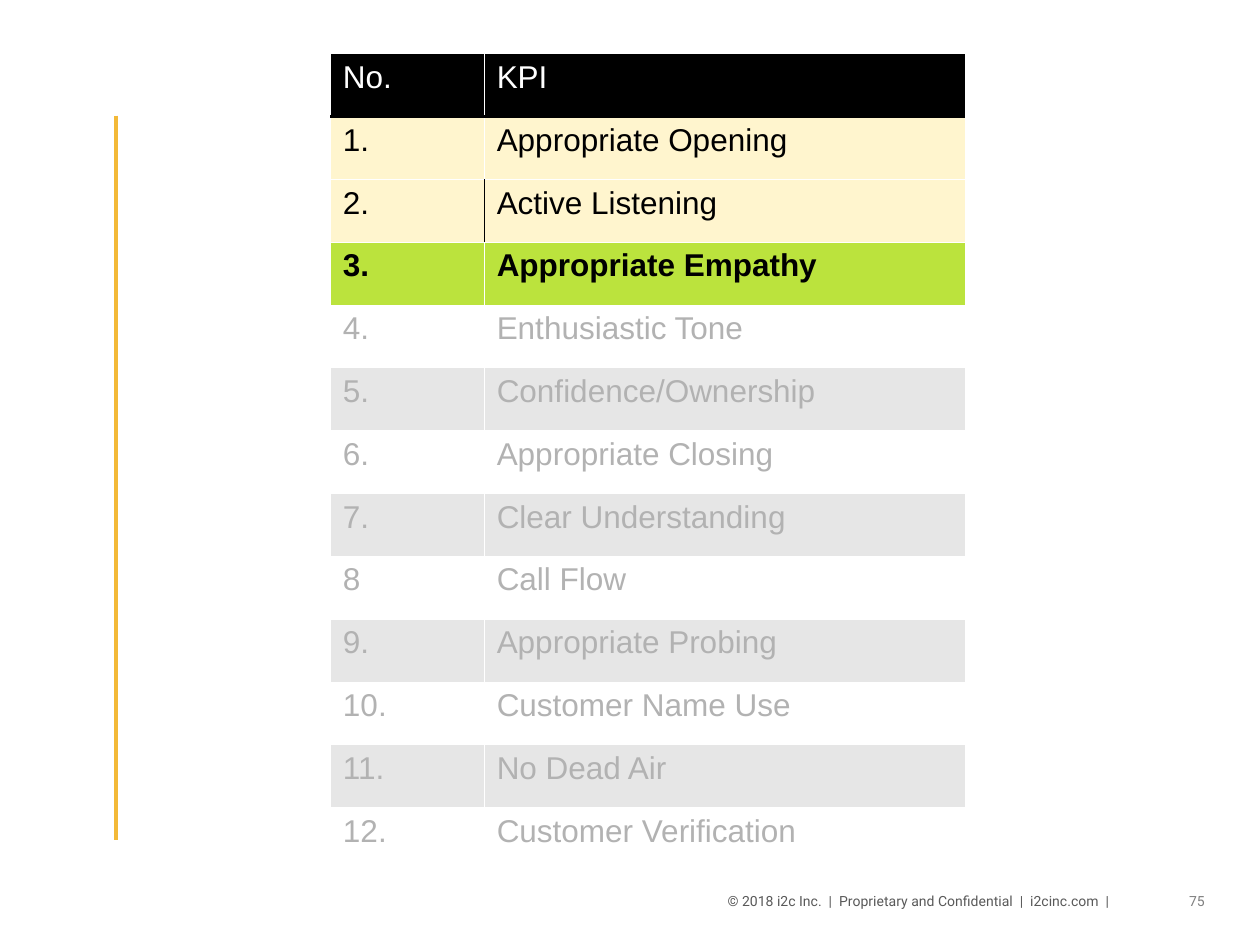
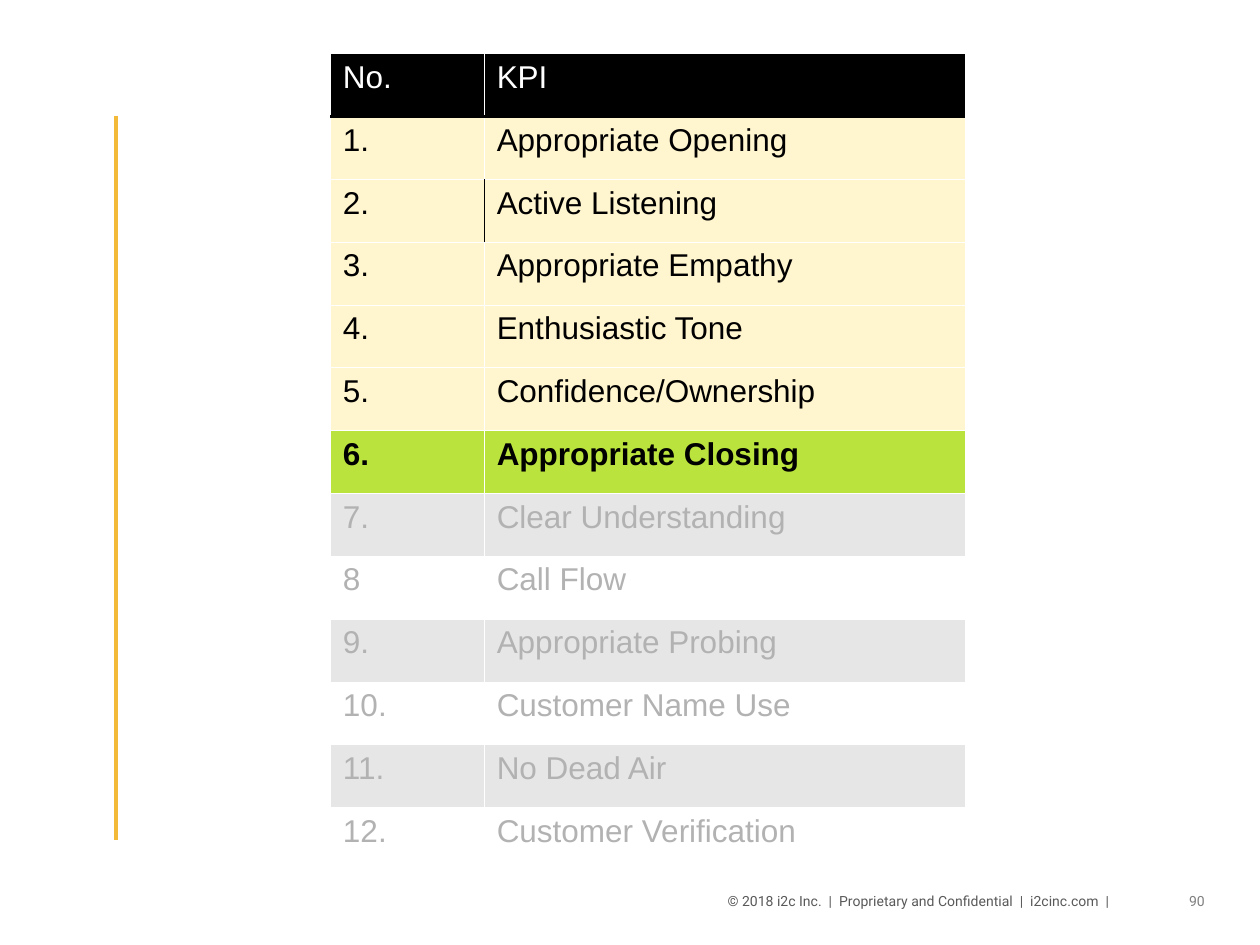
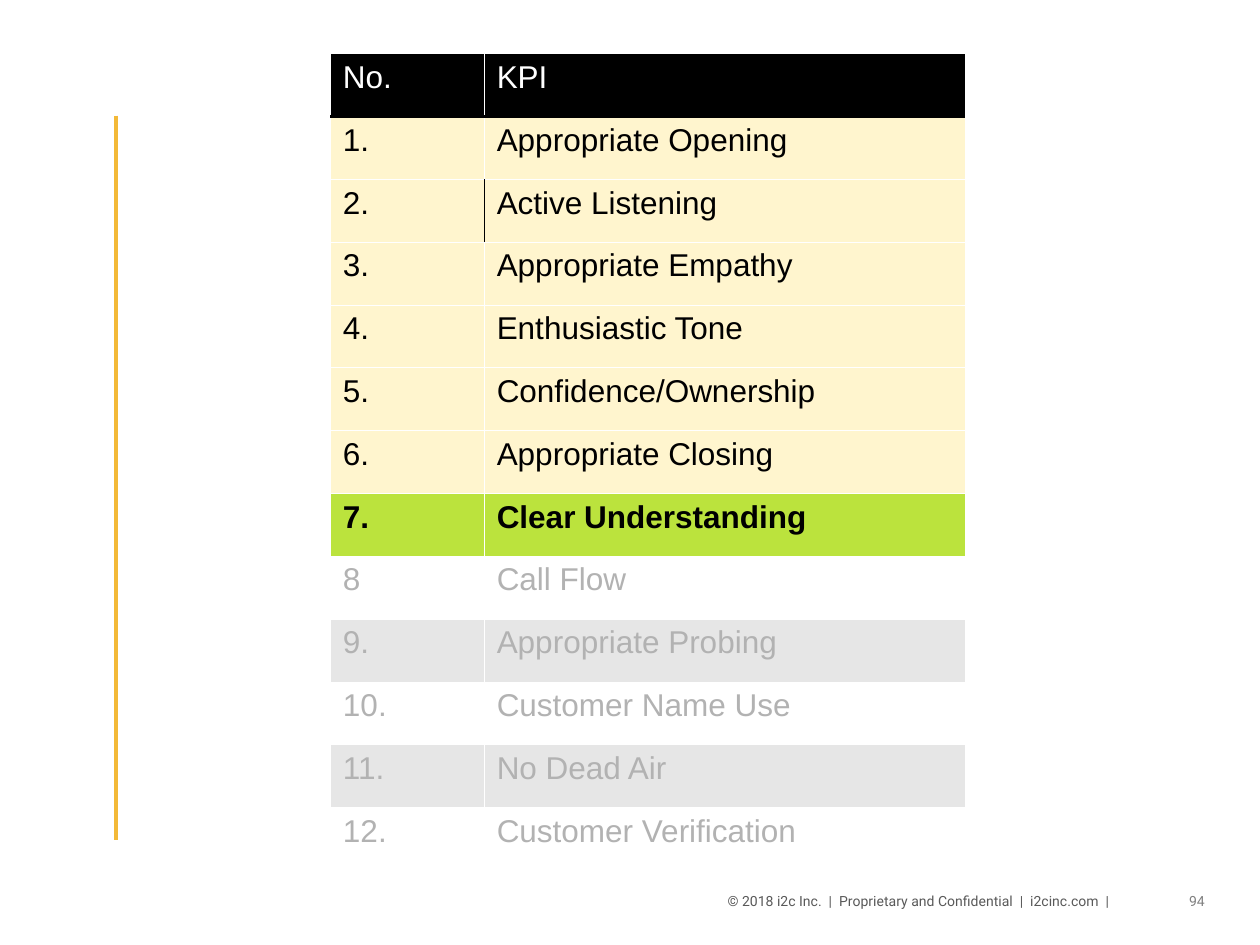
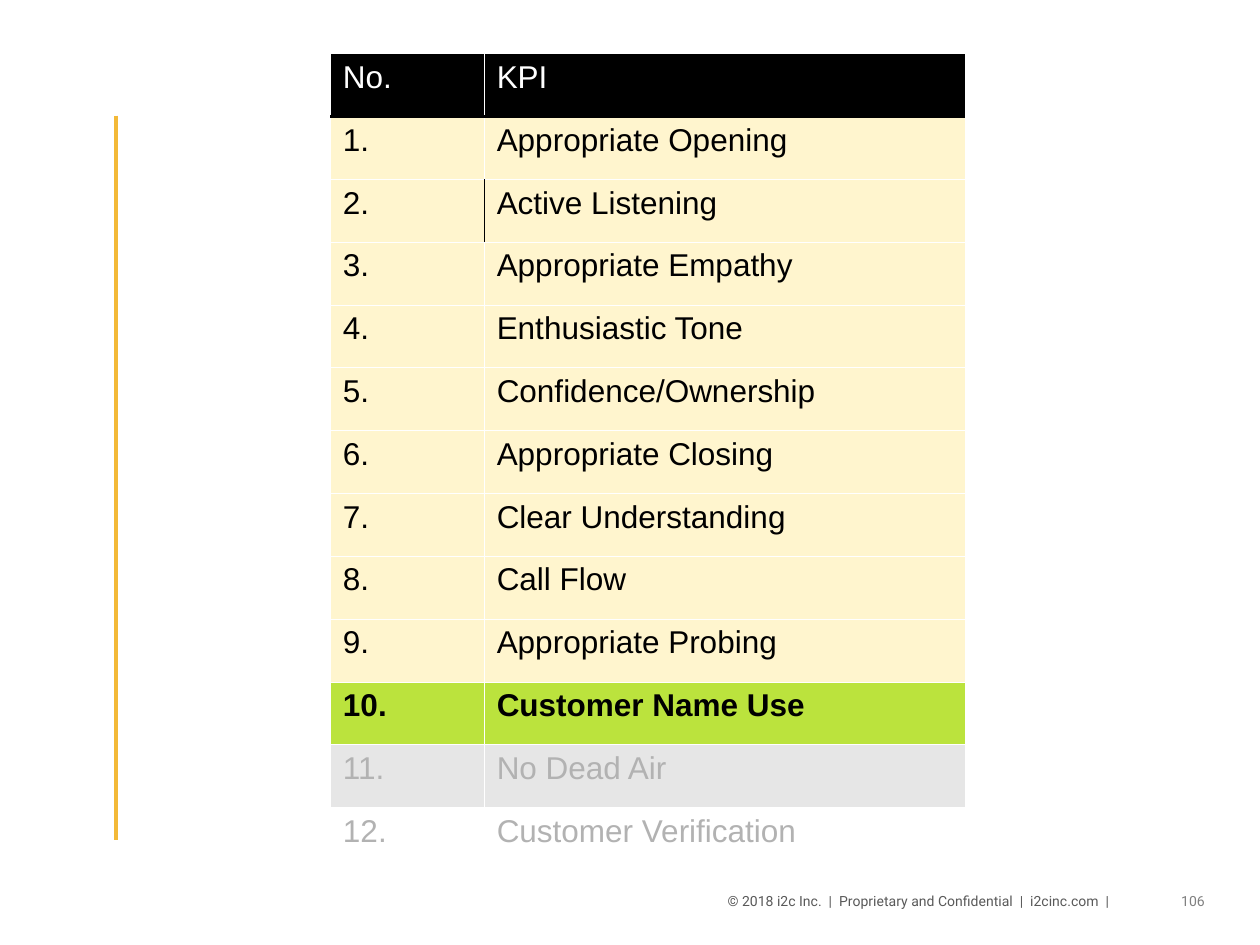
from lxml.etree import SubElement
from pptx import Presentation
from pptx.dml.color import RGBColor
from pptx.enum.shapes import MSO_CONNECTOR
from pptx.enum.text import PP_ALIGN
from pptx.oxml.ns import qn
from pptx.util import Cm, Pt

COLORS = {
    "header": "000000",
    "header_text": "FFFFFF",
    "done": "FFF5CE",
    "current": "BBE33D",
    "pending_odd": "E6E6E6",
    "pending_even": "FFFFFF",
    "text": "000000",
    "pending_text": "B2B2B2",
    "border": "FFFFFF",
    "dark_border": "000000",
    "accent": "F3B938",
    "footer": "595959",
    "page_number": "808080",
}
FOOTER = "© 2018 i2c Inc.  |  Proprietary and Confidential  |  i2cinc.com  |"
KPIS = [
    "Appropriate Opening",
    "Active Listening",
    "Appropriate Empathy",
    "Enthusiastic Tone",
    "Confidence/Ownership",
    "Appropriate Closing",
    "Clear Understanding",
    "Call Flow",
    "Appropriate Probing",
    "Customer Name Use",
    "No Dead Air",
    "Customer Verification",
]
# Page number and the KPI highlighted on that page
PAGES = [(75, 3), (90, 6), (94, 7), (106, 10)]


def style_font(font, name, size, color, bold=False):
    font.name = name
    font.size = Pt(size)
    font.bold = bold
    font.color.rgb = RGBColor.from_string(COLORS[color])


def add_borders(cell, dark_side):
    """Draw hairlines round a cell, with an optional dark line on one side."""
    properties = cell._tc.get_or_add_tcPr()
    for side in ("lnL", "lnR", "lnT", "lnB"):
        dark = side == dark_side
        width = Pt(0.06)
        if dark:
            width = Pt(2) if side in ("lnT", "lnB") else Pt(0.5)
        line = SubElement(properties, qn(f"a:{side}"), w=str(width))
        fill = SubElement(line, qn("a:solidFill"))
        color = COLORS["dark_border" if dark else "border"]
        SubElement(fill, qn("a:srgbClr"), val=color)


deck = Presentation()
deck.slide_width = Cm(25.4)
deck.slide_height = Cm(19.05)
blank_layout = deck.slide_layouts[6]

for page_number, current in PAGES:
    page = deck.slides.add_slide(blank_layout)

    # Footer and page number
    for text, left, width, color in [
        (str(page_number), 18.62, 5.92, "page_number"),
        (FOOTER, 13.54, 9.09, "footer"),
    ]:
        box = page.shapes.add_textbox(Cm(left), Cm(17.86), Cm(width), Cm(0.79))
        box.text_frame.word_wrap = True
        box.text_frame.text = text
        paragraph = box.text_frame.paragraphs[0]
        paragraph.alignment = PP_ALIGN.RIGHT
        style_font(paragraph.runs[0].font, "Roboto", 8, color)

    # Accent line at the left margin
    accent = page.shapes.add_connector(
        MSO_CONNECTOR.STRAIGHT, Cm(2.33), Cm(2.33), Cm(2.33), Cm(16.93)
    )
    accent.line.color.rgb = RGBColor.from_string(COLORS["accent"])
    accent.line.width = Pt(2.25)
    SubElement(accent._element.spPr, qn("a:effectLst"))

    # KPI table
    table = page.shapes.add_table(
        len(KPIS) + 1, 2, Cm(6.66), Cm(1.08), Cm(12.8), Cm(16.46)
    ).table
    table.horz_banding = False
    table.columns[0].width = Cm(3.1)
    table.columns[1].width = Cm(9.7)

    for number, kpi in enumerate(["KPI"] + KPIS):
        label = f"{number}."
        fill, text_color = "done", "text"
        if number == 0:
            label, fill, text_color = "No.", "header", "header_text"
        elif number == current:
            fill = "current"
        elif number > current:
            fill = "pending_odd" if number % 2 else "pending_even"
            text_color = "pending_text"
            if number == 8:
                label = "8"

        for column, text in enumerate([label, kpi]):
            dark_side = {0: "lnB", 1: "lnT"}.get(number)
            if number == 2:
                dark_side = ("lnR", "lnL")[column]
            cell = table.cell(number, column)
            add_borders(cell, dark_side)
            cell.fill.solid()
            cell.fill.fore_color.rgb = RGBColor.from_string(COLORS[fill])
            cell.text_frame.text = text
            span = cell.text_frame.paragraphs[0].runs[0]
            style_font(span.font, "Arial", 18, text_color, number == current)

deck.save("out.pptx")
